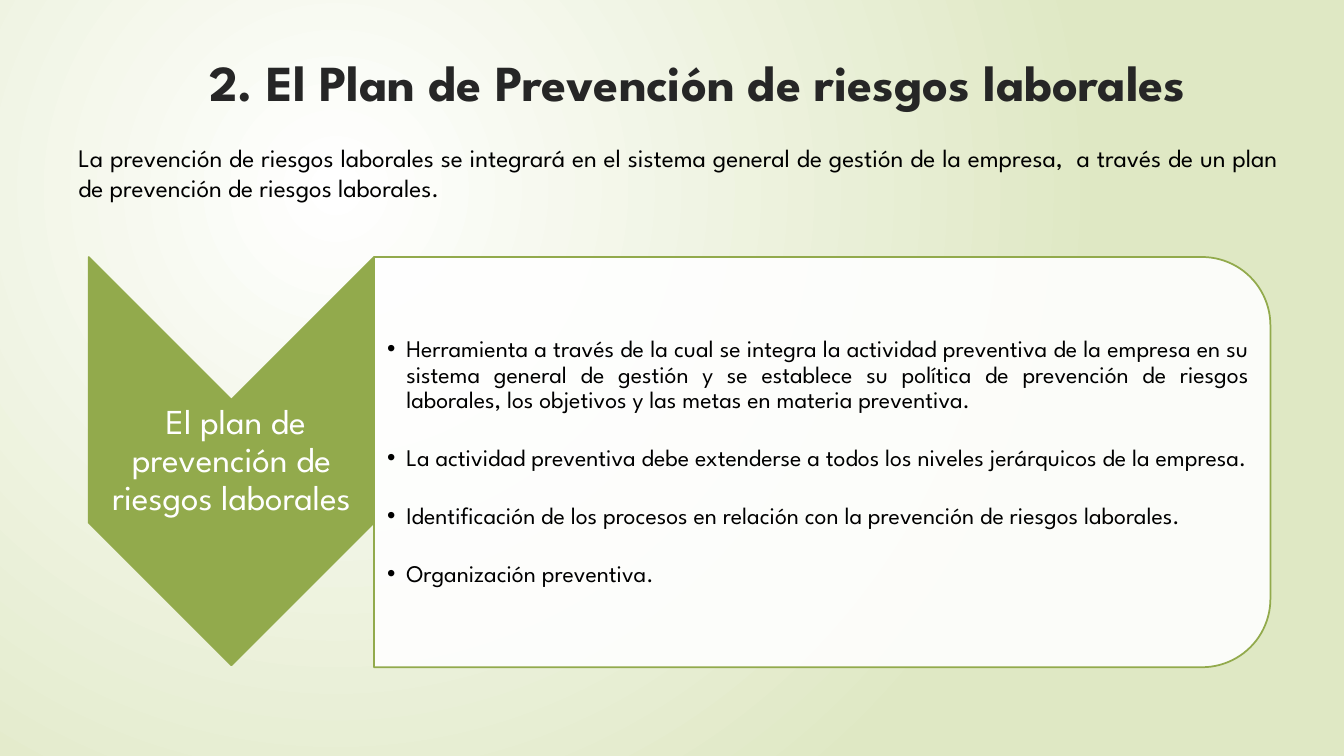
from dataclasses import dataclass

from lxml.etree import SubElement
from pptx import Presentation
from pptx.dml.color import RGBColor
from pptx.enum.shapes import MSO_SHAPE
from pptx.enum.text import MSO_ANCHOR, PP_ALIGN
from pptx.oxml.ns import qn
from pptx.slide import Slide
from pptx.text.text import TextFrame
from pptx.util import Inches, Pt


@dataclass(frozen=True)
class Theme:
    font: str = "League Spartan"
    white: str = "FFFFFF"
    pale: str = "DFE8C4"
    green: str = "92AA4C"
    ink: str = "000000"
    title_ink: str = "262626"
    title_size: int = 36
    intro_size: int = 18
    label_size: int = 25
    bullet_size: int = 17
    bullet_gap: int = 23


@dataclass(frozen=True)
class Box:
    left: float
    top: float
    width: float
    height: float

    def emu(self) -> tuple:
        return tuple(Inches(v) for v in (self.left, self.top, self.width, self.height))

    def turned(self) -> "Box":
        shift = (self.width - self.height) / 2
        return Box(self.left + shift, self.top - shift, self.height, self.width)


@dataclass(frozen=True)
class Panel:
    kind: MSO_SHAPE
    box: Box
    fill: str
    opacity: int


@dataclass(frozen=True)
class TextBlock:
    box: Box
    paragraphs: tuple
    size: int
    color: str
    align: PP_ALIGN
    anchor: MSO_ANCHOR = MSO_ANCHOR.TOP
    insets: tuple = (0.1, 0.05, 0.1, 0.05)
    spacing: float = 1.0
    bulleted: bool = False


THEME = Theme()
TITLE = "2. El Plan de Prevención de riesgos laborales"
TITLE_BOX = Box(1.25, 0.39, 11.34, 0.83)

PANELS = (
    Panel(MSO_SHAPE.CHEVRON, Box(0.88, 2.55, 2.83, 4.05), THEME.green, 100),
    Panel(MSO_SHAPE.ROUND_2_SAME_RECTANGLE, Box(3.71, 2.55, 8.89, 4.07), THEME.white, 90),
)

BLOCKS = (
    TextBlock(
        Box(0.68, 1.36, 12.1, 0.71),
        ("La prevención de riesgos laborales se integrará en el sistema general de gestión "
         "de la empresa,  a través de un plan de prevención de riesgos laborales.",),
        THEME.intro_size, THEME.ink, PP_ALIGN.JUSTIFY,
    ),
    TextBlock(
        Box(0.88, 3.97, 2.83, 1.21),
        (" El plan de prevención de riesgos laborales",),
        THEME.label_size, THEME.white, PP_ALIGN.CENTER,
        MSO_ANCHOR.MIDDLE, (0.02, 0.02, 0.02, 0.02), 0.9,
    ),
    TextBlock(
        Box(3.71, 2.75, 8.69, 3.67),
        ("Herramienta a través de la cual se integra la actividad preventiva de la empresa "
         "en su sistema general de gestión y se establece su política de prevención de "
         "riesgos laborales, los objetivos y las metas en materia preventiva.",
         "La actividad preventiva debe extenderse a todos los niveles jerárquicos de la empresa.",
         "Identificación de los procesos en relación con la prevención de riesgos laborales.",
         "Organización preventiva."),
        THEME.bullet_size, THEME.ink, PP_ALIGN.JUSTIFY,
        MSO_ANCHOR.MIDDLE, (0.13, 0.01, 0.01, 0.01), 0.9, True,
    ),
)


def paint_background(slide: Slide) -> None:
    fill = slide.background.fill
    fill.gradient()
    for stop, color in zip(fill.gradient_stops, (THEME.white, THEME.pale)):
        stop.color.rgb = RGBColor.from_string(color)
    grad = slide.element.xpath(".//p:bg//a:gradFill")[0]
    grad.remove(grad.find(qn("a:lin")))
    circle = SubElement(grad, qn("a:path"), path="circle")
    SubElement(circle, qn("a:fillToRect"), l="50000", t="50000", r="100000", b="100000")


def add_bullet(p) -> None:
    pPr = p._p.get_or_add_pPr()
    pPr.set("marL", str(Inches(0.19)))
    pPr.set("indent", str(-Inches(0.19)))
    SubElement(pPr, qn("a:buFont"), typeface="Arial")
    SubElement(pPr, qn("a:buChar"), char="•")


def write(tf: TextFrame, block: TextBlock, bold: bool = False) -> None:
    tf.word_wrap = True
    tf.vertical_anchor = block.anchor
    tf.margin_left, tf.margin_top, tf.margin_right, tf.margin_bottom = map(Inches, block.insets)
    for i, text in enumerate(block.paragraphs):
        p = tf.add_paragraph() if i else tf.paragraphs[0]
        p.text = text
        p.alignment = block.align
        p.line_spacing = block.spacing
        if i:
            p.space_before = Pt(THEME.bullet_gap)
        if block.bulleted:
            add_bullet(p)
        for r in p.runs:
            r.font.name = THEME.font
            r.font.size = Pt(block.size)
            r.font.bold = bold
            r.font.color.rgb = RGBColor.from_string(block.color)


def add_title(slide: Slide) -> None:
    sp = slide.shapes.title
    sp.left, sp.top, sp.width, sp.height = TITLE_BOX.emu()
    block = TextBlock(TITLE_BOX, (TITLE,), THEME.title_size, THEME.title_ink,
                      PP_ALIGN.CENTER, MSO_ANCHOR.MIDDLE)
    write(sp.text_frame, block, bold=True)


def add_panel(slide: Slide, panel: Panel) -> None:
    sp = slide.shapes.add_shape(panel.kind, *panel.box.turned().emu())
    sp.rotation = 90
    sp.shadow.inherit = False
    sp.fill.solid()
    sp.fill.fore_color.rgb = RGBColor.from_string(panel.fill)
    sp.line.color.rgb = RGBColor.from_string(THEME.green)
    sp.line.width = Pt(1.25)
    if panel.opacity < 100:
        color = sp._element.spPr.find(qn("a:solidFill")).find(qn("a:srgbClr"))
        SubElement(color, qn("a:alpha"), val=str(panel.opacity * 1000))


def add_text(slide: Slide, block: TextBlock) -> None:
    write(slide.shapes.add_textbox(*block.box.emu()).text_frame, block)


def main() -> None:
    prs = Presentation()
    prs.slide_width, prs.slide_height = Inches(13.33), Inches(7.5)
    slide = prs.slides.add_slide(prs.slide_layouts[5])
    paint_background(slide)
    add_title(slide)
    for panel in PANELS:
        add_panel(slide, panel)
    for block in BLOCKS:
        add_text(slide, block)
    prs.save("out.pptx")


if __name__ == "__main__":
    main()
